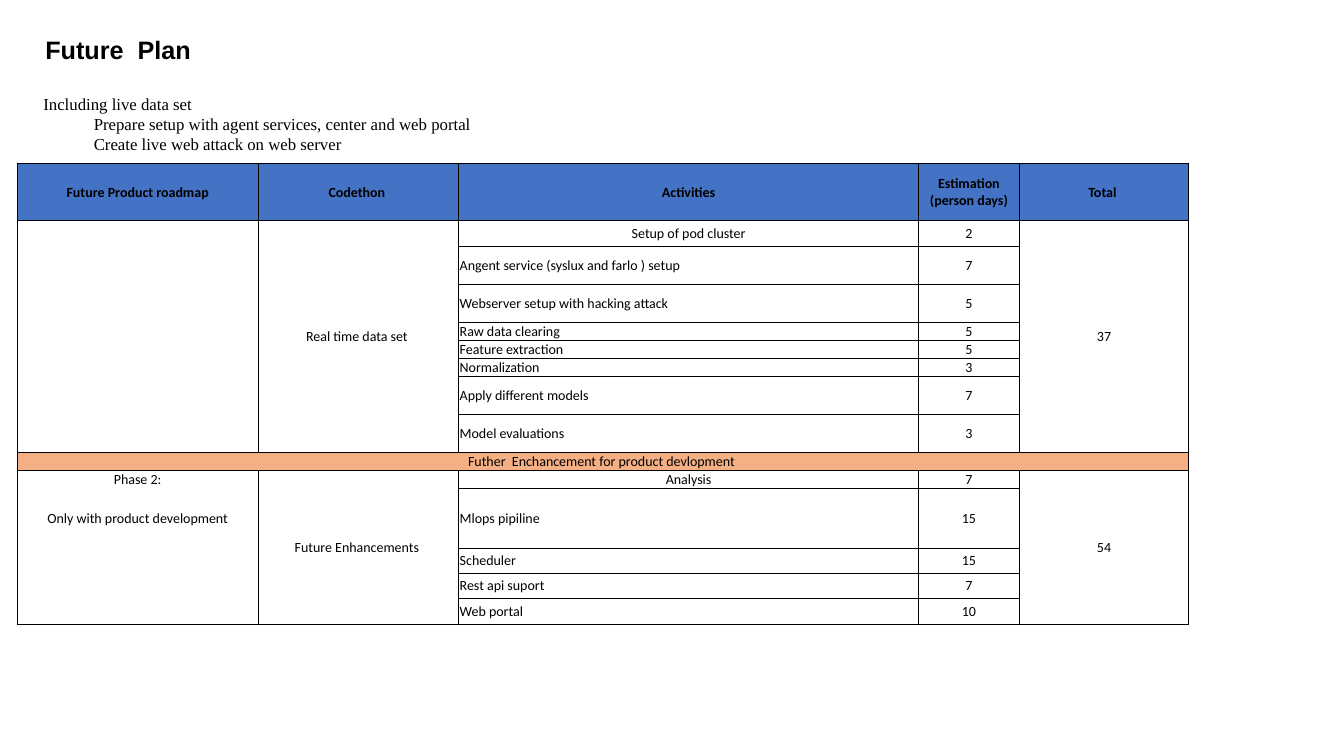
"""Build the Future Plan slide with its roadmap table."""
from lxml import etree
from pptx import Presentation
from pptx.dml.color import RGBColor
from pptx.enum.text import MSO_ANCHOR, MSO_AUTO_SIZE, PP_ALIGN
from pptx.oxml.ns import qn
from pptx.util import Inches, Pt

LEFT, CENTER = PP_ALIGN.LEFT, PP_ALIGN.CENTER
TOP, MIDDLE = MSO_ANCHOR.TOP, MSO_ANCHOR.MIDDLE
GROW = MSO_AUTO_SIZE.SHAPE_TO_FIT_TEXT

BLACK, BLUE, ORANGE = "000000", "4472C4", "F4B084"

TITLE = "Future  Plan"
OUTLINE = [
    (1, "Including live data set"),
    (2, "Prepare setup with agent services, center and web portal"),
    (2, "Create live web attack on web server"),
]
COL_WIDTHS = [2.39, 1.99, 4.56, 1, 1.68]
BAND_ROW, PHASE_ROW = 9, 10
ROWS = [
    (0.57, ["Future Product roadmap", "Codethon ", "Activities",
            "Estimation (person days)", "Total "]),
    (0.25, ["", "Real time data set ", "Setup of pod cluster", "2", "37"]),
    (0.38, ["", "", "Angent service (syslux and farlo ) setup", "7", ""]),
    (0.38, ["", "", "Webserver setup with hacking attack", "5", ""]),
    (0.15, ["", "", "Raw data clearing", "5", ""]),
    (0.15, ["", "", "Feature extraction", "5", ""]),
    (0.15, ["", "", "Normalization", "3", ""]),
    (0.38, ["", "", "Apply different models", "7", ""]),
    (0.38, ["", "", "Model evaluations", "3", ""]),
    (0.15, ["Futher  Enchancement for product devlopment ", "", "", "", ""]),
    (0.15, ["Phase 2:", "Future Enhancements ", "Analysis", "7", "54"]),
    (0, ["Only with product development", "", "", "", ""]),
    (0.59, ["", "", "Mlops pipiline", "15", ""]),
    (0.25, ["", "", "Scheduler", "15", ""]),
    (0.25, ["", "", "Rest api suport", "7", ""]),
    (0.26, ["", "", "Web portal", "10", ""]),
]
MERGES = [
    ((1, 0), (8, 0)), ((1, 1), (8, 1)), ((1, 4), (8, 4)),
    ((9, 0), (9, 4)),
    ((10, 1), (15, 1)), ((10, 2), (11, 2)), ((10, 3), (11, 3)), ((10, 4), (15, 4)),
    ((11, 0), (12, 0)),
]
CENTERED_ACTIVITY_ROWS = (0, 1, PHASE_ROW)


def rgb(value):
    return RGBColor.from_string(value)


def style(p, font, size, align=LEFT, bold=False):
    p.alignment = align
    p.font.name, p.font.size, p.font.bold = font, Pt(size), bold
    p.font.color.rgb = rgb(BLACK)


def place(sp, left, top, width, height):
    sp.left, sp.top = Inches(left), Inches(top)
    sp.width, sp.height = Inches(width), Inches(height)
    tf = sp.text_frame
    tf.word_wrap, tf.auto_size = True, GROW
    return tf


def border_widths(row, col):
    last_row, last_col = len(ROWS) - 1, len(COL_WIDTHS) - 1
    phase_cell = col == 0 and row >= PHASE_ROW
    return {
        "lnL": 1 if col == 0 else 0.5,
        "lnR": 1 if col == last_col and row < PHASE_ROW else 0.5,
        "lnT": 1 if row == 0 else 0 if phase_cell and row > PHASE_ROW else 0.5,
        "lnB": 1 if row == last_row else 0 if phase_cell else 0.5,
    }


def set_borders(cell, widths):
    tc_pr = cell._tc.get_or_add_tcPr()
    for i, (side, width) in enumerate(widths.items()):
        ln = etree.Element(qn(f"a:{side}"), w=str(Pt(width)))
        if width:
            fill = etree.SubElement(ln, qn("a:solidFill"))
            etree.SubElement(fill, qn("a:srgbClr"), val=BLACK)
        else:
            etree.SubElement(ln, qn("a:noFill"))
        tc_pr.insert(i, ln)


def fill_cell(cell, row, col, text):
    cell.margin_left = cell.margin_top = cell.margin_right = Inches(0.01)
    cell.margin_bottom = 0
    cell.vertical_anchor = TOP if row == BAND_ROW else MIDDLE
    p = cell.text_frame.paragraphs[0]
    if text:
        p.text = text
    else:
        etree.SubElement(p._p, qn("a:endParaRPr"), sz="1000")
    activity = col == 2 and row not in CENTERED_ACTIVITY_ROWS
    style(p, "Calibri", 10, LEFT if activity else CENTER, row == 0)
    if row in (0, BAND_ROW):
        cell.fill.solid()
        cell.fill.fore_color.rgb = rgb(BLUE if row == 0 else ORANGE)
    else:
        cell.fill.background()
    set_borders(cell, border_widths(row, col))


def add_roadmap(s):
    heights = [height for height, _ in ROWS]
    frame = s.shapes.add_table(len(ROWS), len(COL_WIDTHS), Inches(0.17), Inches(1.62),
                               Inches(sum(COL_WIDTHS)), Inches(sum(heights)))
    table = frame.table
    table.first_row = table.horz_banding = False
    for column, width in zip(table.columns, COL_WIDTHS):
        column.width = Inches(width)
    for r, (height, texts) in enumerate(ROWS):
        table.rows[r].height = Inches(height)
        for c, text in enumerate(texts):
            fill_cell(table.cell(r, c), r, c, text)
    for first, last in MERGES:
        table.cell(*first).merge(table.cell(*last))


def main():
    prs = Presentation()
    prs.slide_width, prs.slide_height = Inches(13.33), Inches(7.5)
    s = prs.slides.add_slide(prs.slide_layouts[1])

    tf = place(s.shapes.title, 0.35, 0.29, 6.67, 0.4)
    tf.text = TITLE
    style(tf.paragraphs[0], "Arial", 18, bold=True)

    tf = place(s.placeholders[1], -0.17, 0.88, 6.67, 0.71)
    tf.vertical_anchor = TOP
    for i, (level, text) in enumerate(OUTLINE):
        p = tf.add_paragraph() if i else tf.paragraphs[0]
        p.text, p.level = text, level
        p.space_before = Pt(0)
        style(p, "Times New Roman", 12)
        p_pr = p._p.get_or_add_pPr()
        p_pr.set("marL", str(Inches(0.5 * level)))
        p_pr.set("indent", "0")
        p_pr.find(qn("a:spcBef")).addnext(etree.Element(qn("a:buNone")))

    add_roadmap(s)
    prs.save("out.pptx")


if __name__ == "__main__":
    main()
